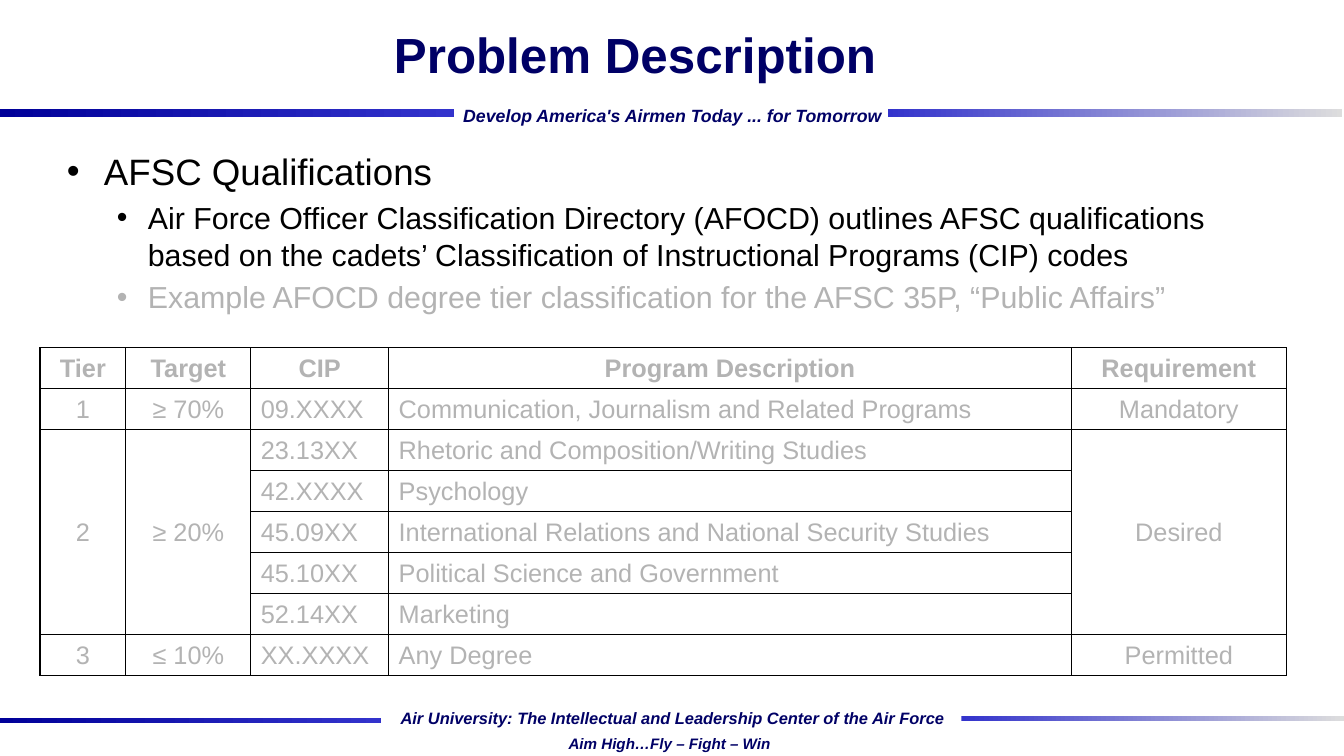
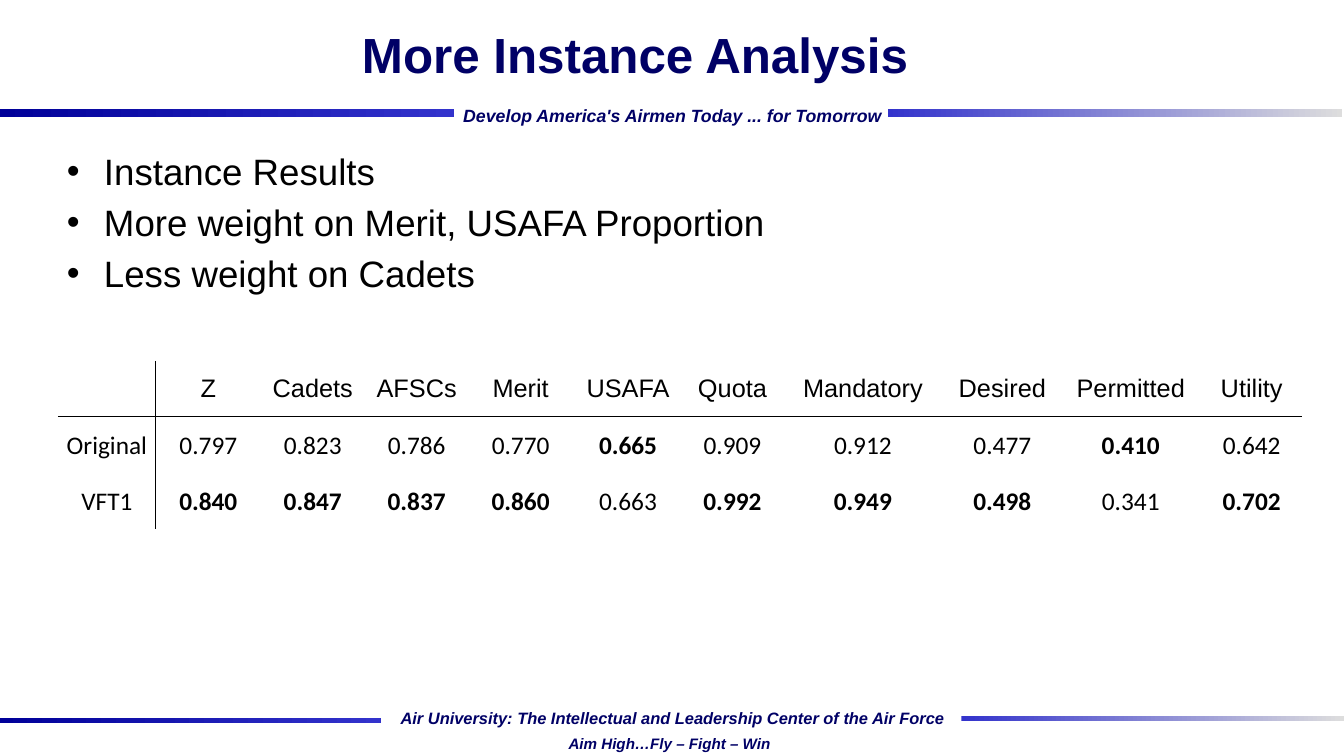
"""Build two slides that share a title style, gradient bands and mottoes, each with bullets and a table."""
import lxml.etree
import pptx
import pptx.dml.color
import pptx.enum.shapes
import pptx.enum.text
import pptx.oxml.ns
import pptx.util

PX = 10037
NAVY, BLACK, GREY, WHITE = "000066", "000000", "B3B3B3", "FFFFFF"
DARK_BLUE, BLUE, SILVER = "000099", "3333CC", "DDDDDD"
CENTER = pptx.enum.text.PP_ALIGN.CENTER
LEFT = pptx.enum.text.PP_ALIGN.LEFT
MIDDLE = pptx.enum.text.MSO_ANCHOR.MIDDLE
qn = pptx.oxml.ns.qn


def paint(hex_colour):
    return pptx.dml.color.RGBColor.from_string(hex_colour)


def style(para, size, colour, align=LEFT, bold=False, italic=False, face="Arial"):
    para.alignment = align
    for span in para.runs:
        span.font.name = face
        span.font.size = pptx.util.Pt(size)
        span.font.bold = bold
        span.font.italic = italic
        span.font.color.rgb = paint(colour)


bands = [
    (888, 109, 455, 8, BLUE, SILVER),
    (-2, 109, 456, 8, DARK_BLUE, BLUE),
    (-2, 718, 383, 5, DARK_BLUE, BLUE),
    (962, 716, 383, 5, BLUE, SILVER),
]
mottoes = [
    (453, 100, 440, 31, 14, "Develop America's Airmen Today ... for Tomorrow"),
    (388, 704, 569, 28, 13, "Air University: The Intellectual and Leadership Center of the Air Force"),
    (557, 730, 226, 26, 12, "Aim High…Fly – Fight – Win"),
]
levels = [
    {"size": 29, "margin": 37, "indent": -37, "before": 5.5},
    {"size": 24, "margin": 81, "indent": -31, "before": 5},
]

tiers = [
    ["Tier", "Target", "CIP", "Program Description", "Requirement"],
    ["1", "≥ 70%", "09.XXXX", "Communication, Journalism and Related Programs", "Mandatory"],
    ["2", "≥ 20%", "23.13XX", "Rhetoric and Composition/Writing Studies", "Desired"],
    ["", "", "42.XXXX", "Psychology", ""],
    ["", "", "45.09XX", "International Relations and National Security Studies", ""],
    ["", "", "45.10XX", "Political Science and Government", ""],
    ["", "", "52.14XX", "Marketing", ""],
    ["3", "≤ 10%", "XX.XXXX", "Any Degree", "Permitted"],
]
scores = [
    ["", "Z", "Cadets", "AFSCs", "Merit", "USAFA", "Quota", "Mandatory", "Desired", "Permitted", "Utility"],
    ["Original", "0.797", "0.823", "0.786", "0.770", "0.665", "0.909", "0.912", "0.477", "0.410", "0.642"],
    ["VFT1", "0.840", "0.847", "0.837", "0.860", "0.663", "0.992", "0.949", "0.498", "0.341", "0.702"],
]
pages = [
    {
        "title": "Problem Description",
        "body_width": 1243,
        "bullets": [
            (0, BLACK, "AFSC Qualifications"),
            (1, BLACK, "Air Force Officer Classification Directory (AFOCD) outlines AFSC qualifications "
                       "based on the cadets’ Classification of Instructional Programs (CIP) codes"),
            (1, GREY, "Example AFOCD degree tier classification for the AFSC 35P, “Public Affairs”"),
        ],
        "rows": tiers, "left": 40, "top": 348, "row_height": 41,
        "widths": [86, 125, 138, 683, 215],
        "merges": [((2, column), (6, column)) for column in (0, 1, 4)],
        "colour": GREY, "faces": ("Arial", "Arial"),
        "insets": ((10, 5, 10, 5), (10, 5, 10, 5)),
        "bold": lambda row, column: row == 0,
        "align": lambda row, column: LEFT if row > 0 and column in (2, 3) else CENTER,
        "sides": lambda row, column: "LRTB",
    },
    {
        "title": "More Instance Analysis",
        "body_width": 1228,
        "bullets": [
            (0, BLACK, "Instance Results"),
            (0, BLACK, "More weight on Merit, USAFA Proportion"),
            (0, BLACK, "Less weight on Cadets"),
        ],
        "rows": scores, "left": 58, "top": 361, "row_height": 56,
        "widths": [98, 105, 104, 104, 104, 111, 98, 163, 116, 141, 101],
        "merges": [],
        "colour": BLACK, "faces": ("Arial", "Calibri"),
        "insets": ((9, 5, 9, 5), (1, 1, 1, 0)),
        "bold": lambda row, column: row > 0 and column > 0
        and scores[row][column] == max(scores[1][column], scores[2][column]),
        "align": lambda row, column: CENTER,
        "sides": lambda row, column: {0: "B", 1: "T"}.get(row, "") + {0: "R", 1: "L"}.get(column, ""),
    },
]

deck = pptx.Presentation()
deck.slide_width = pptx.util.Inches(14.76)
deck.slide_height = pptx.util.Inches(8.3)

for page in pages:
    slide = deck.slides.add_slide(deck.slide_layouts[6])

    for left, top, width, height, start, end in bands:
        band = slide.shapes.add_shape(
            pptx.enum.shapes.MSO_SHAPE.RECTANGLE, left * PX, top * PX, width * PX, height * PX)
        band.shadow.inherit = False
        band.line.fill.background()
        band.fill.gradient()
        band.fill.gradient_angle = 0
        for stop, position, colour in zip(band.fill.gradient_stops, (0, 1), (start, end)):
            stop.position = position
            stop.color.rgb = paint(colour)

    for left, top, width, height, size, words in mottoes:
        box = slide.shapes.add_textbox(left * PX, top * PX, width * PX, height * PX)
        box.text_frame.word_wrap = False
        box.text_frame.auto_size = pptx.enum.text.MSO_AUTO_SIZE.SHAPE_TO_FIT_TEXT
        box.text_frame.text = words
        style(box.text_frame.paragraphs[0], size, NAVY, CENTER, bold=True, italic=True)

    title = slide.shapes.add_textbox(115 * PX, 0, 1041 * PX, 107 * PX)
    title.text_frame.word_wrap = True
    title.text_frame.vertical_anchor = MIDDLE
    title.text_frame.text = page["title"]
    style(title.text_frame.paragraphs[0], 39, NAVY, CENTER, bold=True)

    body = slide.shapes.add_textbox(57 * PX, 144 * PX, page["body_width"] * PX, 553 * PX)
    frame = body.text_frame
    frame.word_wrap = True
    frame.margin_left = frame.margin_right = 10 * PX
    frame.margin_top = frame.margin_bottom = 5 * PX
    frame.text = "\n".join(words for _, _, words in page["bullets"])
    for number, (para, (depth, colour, _)) in enumerate(zip(frame.paragraphs, page["bullets"])):
        level = levels[depth]
        para.level = depth
        properties = para._p.get_or_add_pPr()
        properties.set("marL", str(level["margin"] * PX))
        properties.set("indent", str(level["indent"] * PX))
        lxml.etree.SubElement(properties, qn("a:buFont")).set("typeface", "Arial")
        lxml.etree.SubElement(properties, qn("a:buChar")).set("char", "•")
        para.space_before = pptx.util.Pt(level["before"] if number else 0)
        style(para, level["size"], colour)

    rows, widths, row_height = page["rows"], page["widths"], page["row_height"]
    table = slide.shapes.add_table(
        len(rows), len(widths), page["left"] * PX, page["top"] * PX,
        sum(widths) * PX, len(rows) * row_height * PX).table
    table.first_row = False
    table.horz_banding = False
    for column, width in enumerate(widths):
        table.columns[column].width = width * PX
    for first, last in page["merges"]:
        table.cell(*first).merge(table.cell(*last))

    for row, texts in enumerate(rows):
        table.rows[row].height = row_height * PX
        part = min(row, 1)
        for column, words in enumerate(texts):
            cell = table.cell(row, column)
            cell.vertical_anchor = MIDDLE
            cell.margin_left, cell.margin_top, cell.margin_right, cell.margin_bottom = (
                inset * PX for inset in page["insets"][part])
            cell.fill.solid()
            cell.fill.fore_color.rgb = paint(WHITE)
            if words:
                cell.text_frame.text = words
                style(cell.text_frame.paragraphs[0], 20, page["colour"], page["align"](row, column),
                      bold=page["bold"](row, column), face=page["faces"][part])
            for position, side in enumerate("LRTB"):
                border = lxml.etree.Element(qn("a:ln" + side), w=str(pptx.util.Pt(1)))
                if side in page["sides"](row, column):
                    ink = lxml.etree.SubElement(border, qn("a:solidFill"))
                    lxml.etree.SubElement(ink, qn("a:srgbClr")).set("val", BLACK)
                else:
                    lxml.etree.SubElement(border, qn("a:noFill"))
                cell._tc.get_or_add_tcPr().insert(position, border)

deck.save("out.pptx")
